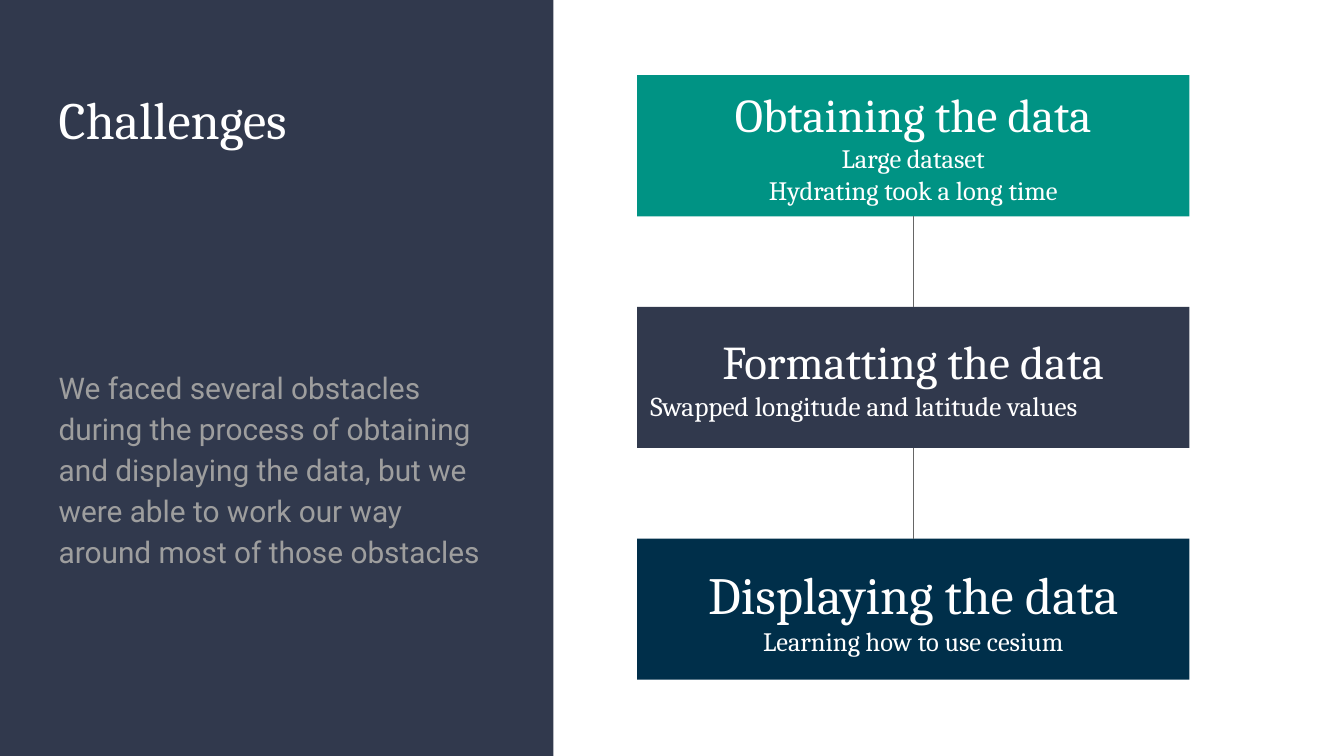
from itertools import pairwise

from lxml import etree
from pptx import Presentation
from pptx.dml.color import RGBColor
from pptx.enum.shapes import MSO_CONNECTOR as Connector, MSO_SHAPE as Shape
from pptx.enum.text import MSO_ANCHOR as Anchor, MSO_AUTO_SIZE as AutoSize, PP_ALIGN as Align
from pptx.oxml.ns import qn
from pptx.util import Cm, Pt

COLORS = {
    "slate": "31394D",
    "teal": "009384",
    "navy": "002F4A",
    "white": "FFFFFF",
    "grey": "9E9E9E",
    "line": "666666",
}
SERIF, SANS = "Cambria", "Roboto"
TITLE_ONLY = 5
BOTTOM, TOP = 2, 0

# Fill, then (text, size, alignment) for each line
CARDS = [
    ("teal", [("Obtaining the data", 25.2, Align.CENTER),
              ("Large dataset", 14.2, Align.CENTER),
              ("Hydrating took a long time", 14.2, Align.CENTER)]),
    ("slate", [("Formatting the data", 25.2, Align.CENTER),
               ("Swapped longitude and latitude values", 14.6, Align.LEFT)]),
    ("navy", [("Displaying the data", 28, Align.CENTER),
              ("Learning how to use cesium", 14.2, Align.CENTER)]),
]


def color(name):
    return RGBColor.from_string(COLORS[name])


def set_up_frame(shape, anchor=Anchor.TOP):
    frame = shape.text_frame
    frame.word_wrap = True
    frame.auto_size = AutoSize.NONE
    frame.vertical_anchor = anchor
    frame.margin_left = frame.margin_right = Cm(0.25)
    frame.margin_top = frame.margin_bottom = Cm(0.25)
    return frame


def write(para, text, size, font=SERIF, fill="white", align=Align.LEFT, spacing=1.0, after=0):
    para.alignment = align
    para.line_spacing = spacing
    para.space_before = Pt(0)
    para.space_after = Pt(after)
    span = para.add_run()
    span.text = text
    span.font.name = font
    span.font.size = Pt(size)
    span.font.color.rgb = color(fill)


def add_block(page, left, top, width, height, fill):
    block = page.shapes.add_shape(Shape.RECTANGLE, left, top, width, height)
    block.shadow.inherit = False
    block.fill.solid()
    block.fill.fore_color.rgb = color(fill)
    block.line.fill.background()
    return block


def add_intro(page, left, top, width, height):
    """Dark panel with the slide title above a short summary."""
    panel = add_block(page, left, top, width, height, "slate")
    title = page.shapes.title
    title._element.addprevious(panel._element)  # keep the panel behind the title

    text_left, text_width = left + Cm(0.86), width - Cm(1.77)
    title.left, title.top = text_left, top + Cm(1.4)
    title.width, title.height = text_width, Cm(5.08)
    write(set_up_frame(title).paragraphs[0], "Challenges", 28)

    summary = page.shapes.add_textbox(text_left, top + Cm(6.63), text_width, Cm(6.38))
    write(set_up_frame(summary).paragraphs[0],
          "We faced several obstacles during the process of obtaining and displaying "
          "the data, but we were able to work our way around most of those obstacles",
          16, font=SANS, fill="grey", spacing=1.15, after=12)


def add_card(page, left, top, width, height, fill, lines):
    card = add_block(page, left, top, width, height, fill)
    frame = set_up_frame(card, Anchor.MIDDLE)
    for index, (text, size, align) in enumerate(lines):
        para = frame.add_paragraph() if index else frame.paragraphs[0]
        write(para, text, size, align=align)
    return card


def join(page, upper, lower):
    link = page.shapes.add_connector(Connector.STRAIGHT, 0, 0, 0, 0)
    link.begin_connect(upper, BOTTOM)
    link.end_connect(lower, TOP)
    link.line.color.rgb = color("line")
    link.line.width = Pt(0.75)
    etree.SubElement(link._element.spPr, qn("a:effectLst"))


def add_steps(page, left, top, width, height):
    """Column of equal cards, evenly spaced and joined by lines."""
    card_height = Cm(2.67)
    pitch = (height - card_height) // (len(CARDS) - 1)
    cards = [add_card(page, left, top + index * pitch, width, card_height, fill, lines)
             for index, (fill, lines) in enumerate(CARDS)]
    for upper, lower in pairwise(cards):
        join(page, upper, lower)


def main():
    deck = Presentation()
    deck.slide_width, deck.slide_height = Cm(25.4), Cm(14.29)
    page = deck.slides.add_slide(deck.slide_layouts[TITLE_ONLY])
    add_intro(page, Cm(0), Cm(0), Cm(10.46), deck.slide_height)
    add_steps(page, Cm(12.04), Cm(1.42), Cm(10.44), Cm(11.43))
    deck.save("out.pptx")


if __name__ == "__main__":
    main()
